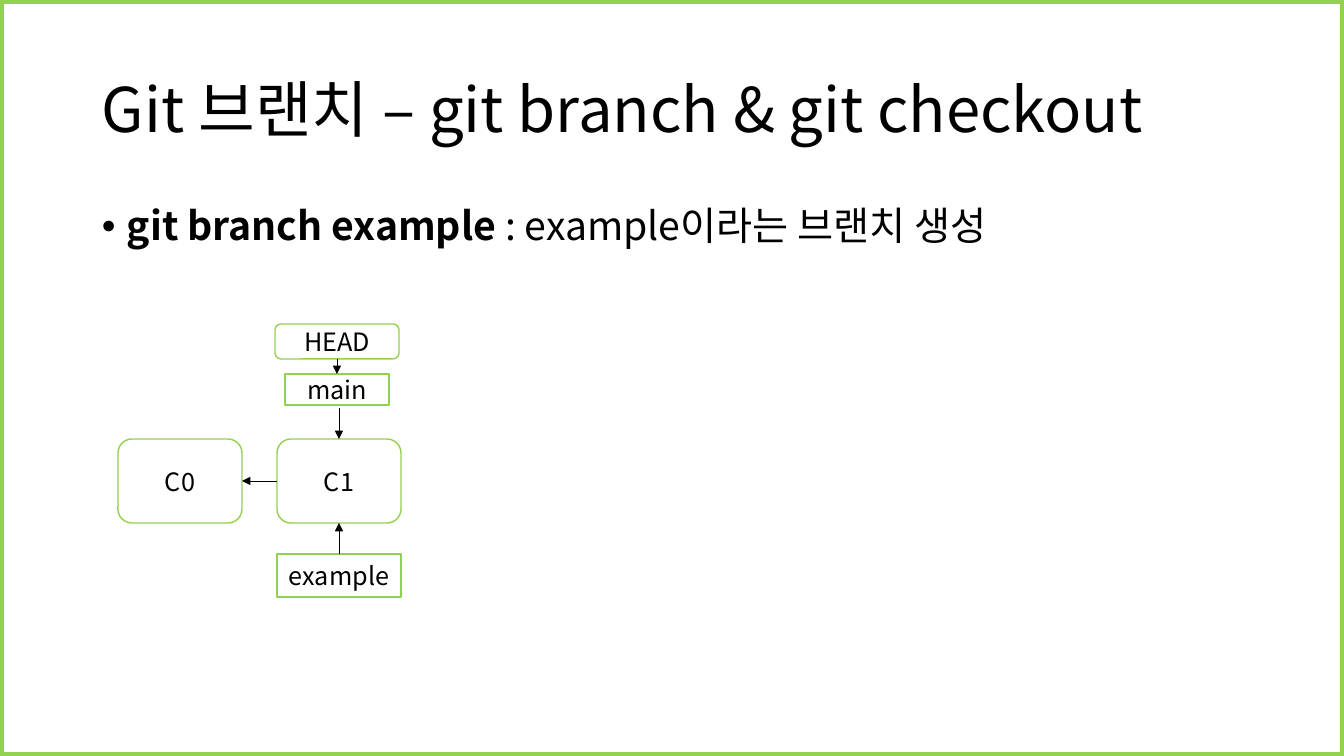
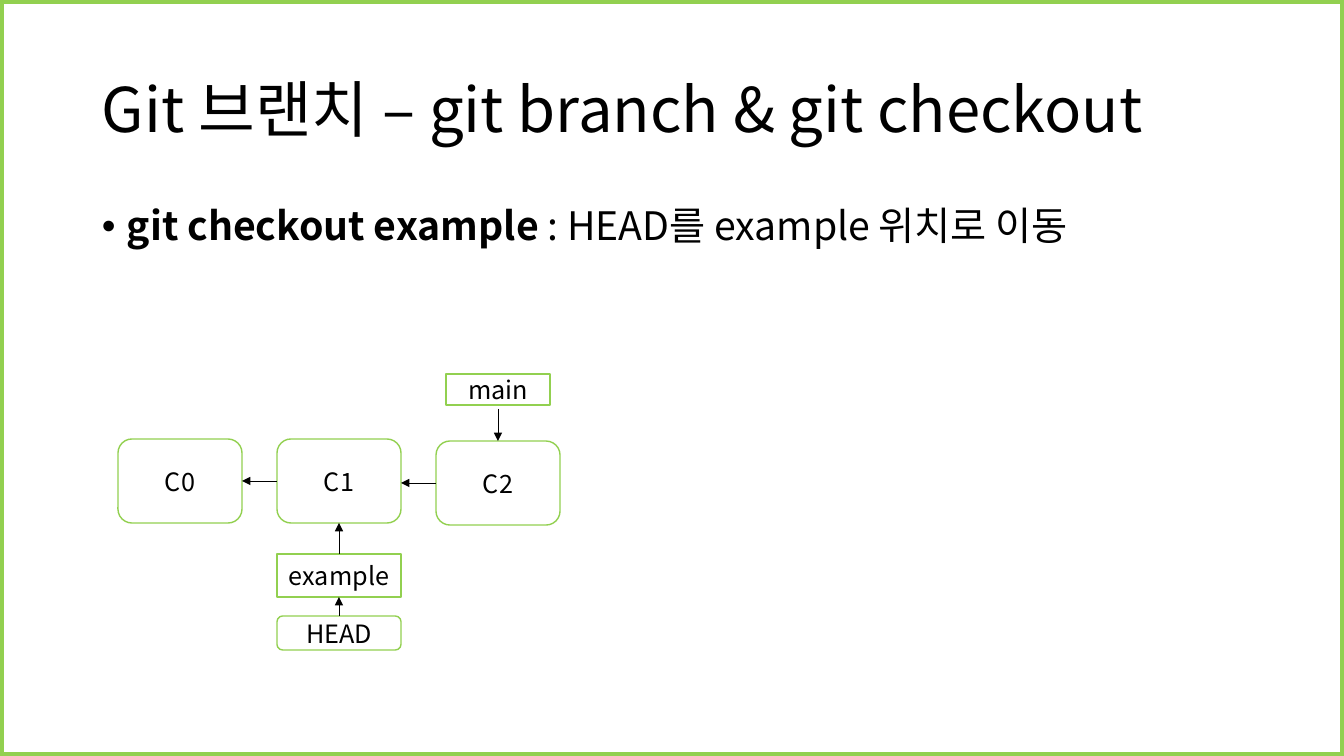
from dataclasses import dataclass
from lxml.etree import SubElement
from pptx import Presentation
from pptx.dml.color import RGBColor
from pptx.enum.shapes import MSO_CONNECTOR, MSO_SHAPE
from pptx.enum.text import MSO_ANCHOR, PP_ALIGN
from pptx.oxml.ns import qn
from pptx.util import Pt

PX = 914400 / 100.8


@dataclass
class Theme:
    green: RGBColor = RGBColor(0x92, 0xD0, 0x50)
    black: RGBColor = RGBColor(0, 0, 0)
    font: str = "Noto Sans CJK KR"
    title: int = 44
    body: int = 28
    label: int = 18


theme = Theme()


def px(*vals):
    return [round(v * PX) for v in vals]


def style(para, size):
    font = para.font
    font.size = Pt(size)
    font.color.rgb = theme.black
    font.name = theme.font
    SubElement(font._element, qn("a:ea"), typeface=theme.font)


# Box sizes and places
ROUND, RECT = MSO_SHAPE.ROUNDED_RECTANGLE, MSO_SHAPE.RECTANGLE
WIDE, TALL, TAG = 124, 84, 104
LEFT, STEP, ROW = 118, 159, 439
cols = [LEFT + STEP * i for i in range(3)]
mids = [x + WIDE // 2 for x in cols]
TOP, SIDE, FOOT = 0, 1, 2
EAST = 3

# What both graphs share
base = {
    "C0": (ROUND, cols[0], ROW, WIDE, TALL),
    "C1": (ROUND, cols[1], ROW, WIDE, TALL),
    "example": (RECT, cols[1], 554, WIDE, 43),
}
links = [(("C1", SIDE), ("C0", EAST)), (("example", TOP), ("C1", FOOT))]

# Each page: command, meaning, boxes, arrows (box and side, or x and y)
pages = [
    ("git branch example ", ": example이라는 브랜치 생성",
     base | {"main": (RECT, 285, 374, TAG, 31),
             "HEAD": (ROUND, 275, 324, WIDE, 35)},
     links + [((mids[1], 408), ("C1", TOP)),
              (("HEAD", FOOT), ("main", TOP))]),
    ("git checkout example ", ": HEAD를 example 위치로 이동",
     base | {"main": (RECT, 446, 374, TAG, 31),
             "C2": (ROUND, cols[2], ROW + 2, WIDE, TALL),
             "HEAD": (ROUND, cols[1], 616, WIDE, 34)},
     links + [((mids[2], 409), ("C2", TOP)),
              (("C2", SIDE), (cols[1] + WIDE, 483)),
              (("HEAD", TOP), ("example", FOOT))]),
]

deck = Presentation()
deck.slide_width, deck.slide_height = px(1344, 756)
blank = deck.slide_layouts[6]
slides = [deck.slides.add_slide(blank) for page in pages]

# Green frame, moved to the shared layout
frame = slides[0].shapes.add_shape(RECT, *px(0, 0, 1344, 756))
frame.shadow.inherit = False
frame.fill.background()
frame.line.color.rgb = theme.green
frame.line.width = Pt(6)
blank.shapes.element.append(frame.element)

for slide, (code, note, boxes, arrows) in zip(slides, pages):
    shapes = slide.shapes

    # Title
    text = shapes.add_textbox(*px(92, 40, 1159, 146)).text_frame
    text.word_wrap = True
    text.vertical_anchor = MSO_ANCHOR.MIDDLE
    para = text.paragraphs[0]
    para.text = "Git 브랜치 – git branch & git checkout"
    para.line_spacing = 0.9
    style(para, theme.title)

    # Bullet
    text = shapes.add_textbox(*px(92, 202, 1159, 480)).text_frame
    text.word_wrap = True
    para = text.paragraphs[0]
    props = para._p.get_or_add_pPr()
    dent = px(25)[0]
    props.set("marL", str(dent))
    props.set("indent", str(-dent))
    SubElement(props, qn("a:buFont"), typeface="Arial")
    SubElement(props, qn("a:buChar"), char="•")
    para.line_spacing = 0.9
    para.space_before = Pt(10)
    style(para, theme.body)
    for part, bold in ((code, True), (note, False)):
        run = para.add_run()
        run.text = part
        run.font.bold = bold

    # Commits and labels
    made = {}
    for name, (kind, *place) in boxes.items():
        box = made[name] = shapes.add_shape(kind, *px(*place))
        box.shadow.inherit = False
        box.fill.background()
        box.line.color.rgb = theme.green
        box.line.width = Pt(1)
        box.text_frame.vertical_anchor = MSO_ANCHOR.MIDDLE
        para = box.text_frame.paragraphs[0]
        para.text = name
        para.alignment = PP_ALIGN.CENTER
        style(para, theme.label)

    # Arrows
    for start, end in arrows:
        spots = [(0, 0) if p[0] in made else p for p in (start, end)]
        line = shapes.add_connector(
            MSO_CONNECTOR.STRAIGHT, *px(*spots[0], *spots[1]))
        for spot, join in ((start, line.begin_connect),
                           (end, line.end_connect)):
            if spot[0] in made:
                join(made[spot[0]], spot[1])
        line.line.color.rgb = theme.black
        line.line.width = Pt(0.5)
        SubElement(line.line._get_or_add_ln(), qn("a:tailEnd"),
                   type="triangle")
        SubElement(line._element.spPr, qn("a:effectLst"))

deck.save("out.pptx")
